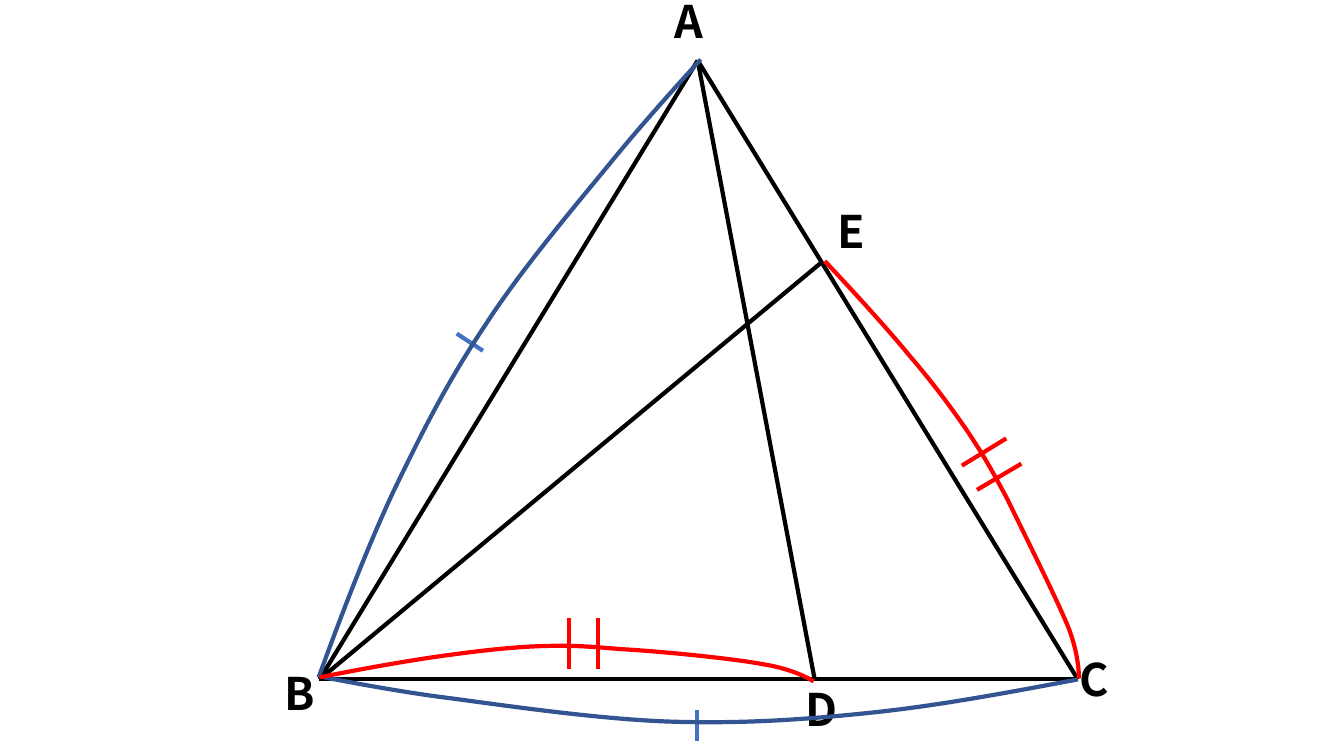
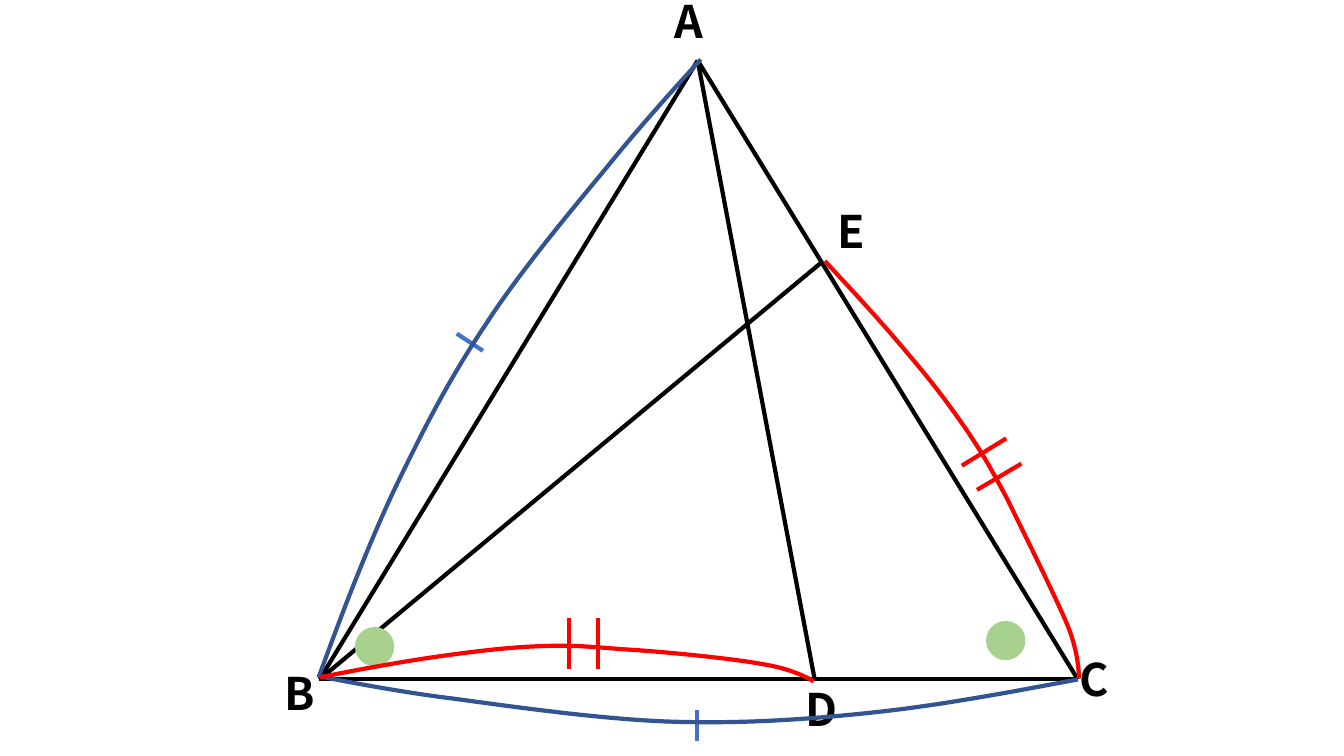
import math

from lxml import etree
from pptx import Presentation
from pptx import util as u
from pptx.dml.color import RGBColor
from pptx.enum import shapes, text
from pptx.oxml import ns

BLACK = RGBColor(0x00, 0x00, 0x00)
RED = RGBColor(0xFF, 0x00, 0x00)
NAVY = RGBColor(0x32, 0x54, 0x91)
BLUE = RGBColor(0x44, 0x72, 0xC4)
GREEN = RGBColor(0xA9, 0xD1, 0x8E)

FONT = {"name": "Noto Sans CJK JP", "size": u.Pt(32), "bold": True}
FRAME = {"word_wrap": True, "auto_size": text.MSO_AUTO_SIZE.SHAPE_TO_FIT_TEXT}
WIDTH = u.Pt(3)
DOT = 0.39

A, B, C, D, E = (6.92, 0.6), (3.17, 6.74), (10.69, 6.74), (8.08, 6.74), (8.14, 2.61)
SIDES = [(A, B), (E, B), (C, (3.16, 6.74)), (C, A), (D, A)]

LABELS = [
    ("A", 6.59, -0.11, 0.69),
    ("D", 7.89, 6.71, 0.88),
    ("C", 10.61, 6.42, 0.59),
    ("B", 2.72, 6.56, 0.88),
    ("E", 8.21, 1.97, 0.65),
]

ARC_BC = [
    (10.69, 6.74), (10, 6.87), (9.31, 7), (8.64, 7.07),
    (7.97, 7.14), (7.37, 7.18), (6.68, 7.16),
    (5.99, 7.14), (5.08, 7.01), (4.49, 6.93),
    (3.91, 6.86), (3.17, 6.71), (3.17, 6.71),
]
ARC_AB = [
    (3.16, 6.72), (3.39, 6.09), (3.63, 5.46), (3.9, 4.88),
    (4.18, 4.3), (4.44, 3.78), (4.81, 3.23),
    (5.17, 2.67), (5.74, 2), (6.1, 1.56),
    (6.46, 1.12), (6.95, 0.59), (6.95, 0.59),
]
ARC_BD = [
    (3.17, 6.72), (3.62, 6.63), (4.07, 6.55), (4.44, 6.5),
    (4.81, 6.45), (5.08, 6.42), (5.37, 6.41),
    (5.66, 6.4), (5.8, 6.41), (6.16, 6.44),
    (6.53, 6.46), (7.25, 6.53), (7.57, 6.59),
    (7.89, 6.64), (8.07, 6.76), (8.07, 6.76),
]
ARC_EC = [
    (8.18, 2.59), (8.49, 2.92), (8.8, 3.26), (9.03, 3.54),
    (9.27, 3.82), (9.43, 4.04), (9.59, 4.27),
    (9.75, 4.51), (9.82, 4.63), (9.99, 4.95),
    (10.15, 5.28), (10.47, 5.92), (10.59, 6.21),
    (10.71, 6.51), (10.7, 6.73), (10.7, 6.73),
]

BLUE_ARCS = [
    (ARC_BC, 180, NAVY, [((6.91, 7.35), (6.91, 7.04))], BLUE),
    (ARC_AB, 301.5, NAVY, [((4.53, 3.31), (4.79, 3.48))], BLUE),
]
RED_ARCS = [
    (ARC_BD, 0, RED, [((x, 6.64), (x, 6.13)) for x in (5.64, 5.93)], RED),
    (ARC_EC, 58.2, RED, [((9.54, 4.62), (9.98, 4.35)), ((9.69, 4.86), (10.13, 4.6))], RED),
]
ANGLES = [(9.78, 6.16), (3.52, 6.22)]


def put(item, style):
    for key, value in style.items():
        setattr(item, key, value)


def ink(line, color):
    line.color.rgb = color
    line.width = WIDTH


def add_line(tree, start, end, color):
    points = [u.Inches(n) for n in (*start, *end)]
    line = tree.add_connector(shapes.MSO_CONNECTOR.STRAIGHT, *points)
    ink(line.line, color)
    etree.SubElement(line.line._get_or_add_ln().getparent(), ns.qn("a:effectLst"))


def add_label(slide, name, left, top, width):
    box = slide.shapes.add_textbox(*map(u.Inches, (left, top, width, 0.64)))
    put(box.text_frame, FRAME)
    run = box.text_frame.paragraphs[0].add_run()
    run.text = name
    put(run.font, FONT)
    run.font.color.rgb = BLACK


def turn(point, angle):
    x, y = point
    cos, sin = math.cos(math.radians(angle)), math.sin(math.radians(angle))
    return x * cos - y * sin, x * sin + y * cos


def middle(values):
    return (min(values) + max(values)) / 2


def level(nodes, angle):
    flat = [turn(node, -angle) for node in nodes]
    center = [middle(axis) for axis in zip(*flat[::3])]
    shift = [new - old for new, old in zip(turn(center, angle), center)]
    return [tuple(u.Inches(n + s) for n, s in zip(node, shift)) for node in flat]


def bend(arc, nodes):
    lines = list(arc._element.iter(ns.qn("a:lnTo")))
    for i, line in enumerate(lines):
        curve = etree.Element(ns.qn("a:cubicBezTo"))
        for x, y in nodes[3 * i + 1:3 * i + 4]:
            etree.SubElement(curve, ns.qn("a:pt"), x=str(x - arc.left), y=str(y - arc.top))
        line.getparent().replace(line, curve)


def add_arc(slide, nodes, angle, color, ticks, shade):
    group = slide.shapes.add_group_shape()
    for start, end in ticks:
        add_line(group.shapes, start, end, shade)
    nodes = level(nodes, angle)
    path = group.shapes.build_freeform(*nodes[0])
    path.add_line_segments(nodes[3::3], close=False)
    arc = path.convert_to_shape()
    bend(arc, nodes)
    arc.rotation = angle
    arc.shadow.inherit = False
    arc.fill.background()
    ink(arc.line, color)


def add_dot(slide, left, top):
    dot = slide.shapes.add_shape(
        shapes.MSO_SHAPE.OVAL, *map(u.Inches, (left, top, DOT, DOT)))
    dot.shadow.inherit = False
    dot.fill.solid()
    dot.fill.fore_color.rgb = GREEN
    dot.line.fill.background()


def add_figure(deck, angles):
    slide = deck.slides.add_slide(deck.slide_layouts[6])
    for start, end in SIDES:
        add_line(slide.shapes, start, end, BLACK)
    for label in LABELS:
        add_label(slide, *label)
    for arc in BLUE_ARCS:
        add_arc(slide, *arc)
    for angle in angles:
        add_dot(slide, *angle)
    for arc in RED_ARCS:
        add_arc(slide, *arc)


def main():
    deck = Presentation()
    put(deck, {"slide_width": u.Inches(13.33), "slide_height": u.Inches(7.5)})
    for angles in ([], ANGLES):
        add_figure(deck, angles)
    deck.save("out.pptx")


if __name__ == "__main__":
    main()
